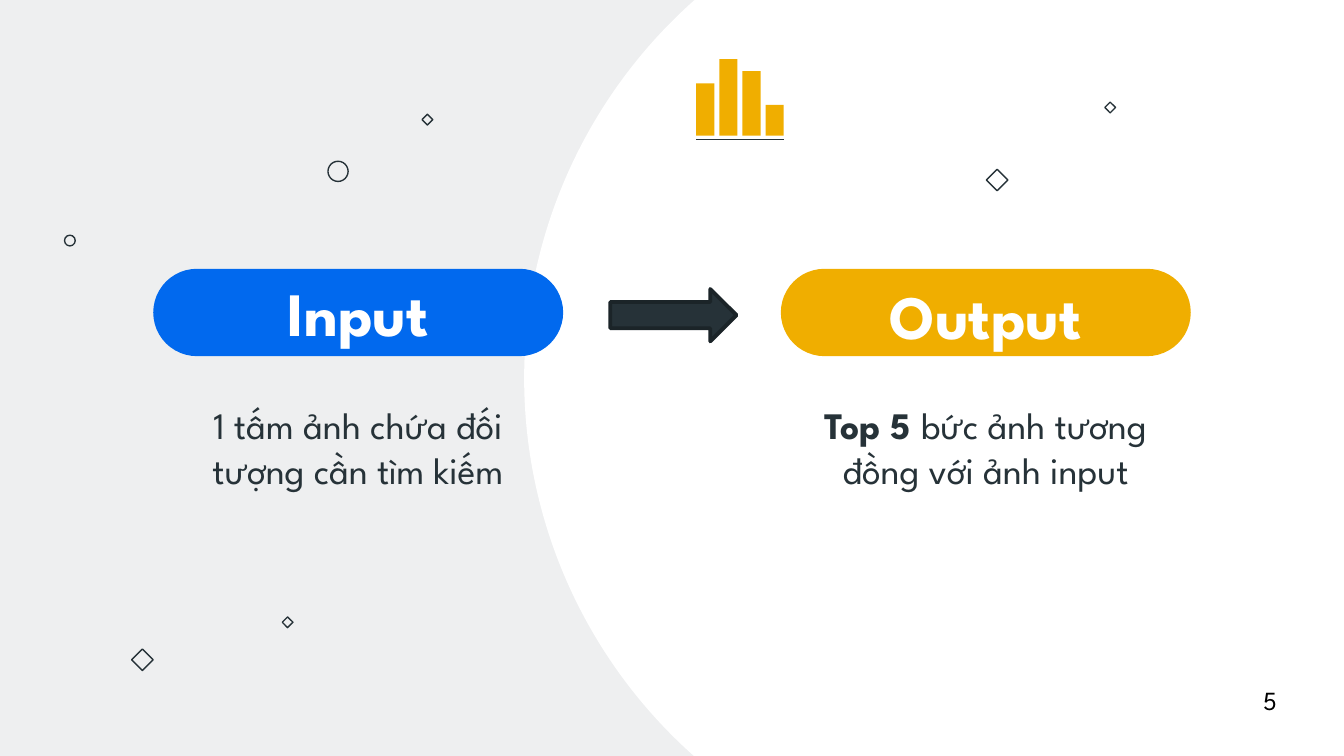
from dataclasses import dataclass

import pptx
import pptx.dml.color
import pptx.enum.shapes
import pptx.enum.text
import pptx.oxml.ns
import pptx.util
from lxml import etree

SHAPE = pptx.enum.shapes.MSO_SHAPE
ANCHOR = pptx.enum.text.MSO_ANCHOR
ALIGN = pptx.enum.text.PP_ALIGN
CELL = pptx.util.Inches(0.1)
COLUMNS, ROWS = 100, 56.25
FONT = "League Spartan"
COLORS = {
    "backdrop": "EEEFF0",
    "white": "FFFFFF",
    "ink": "263238",
    "edge": "1B2428",
    "input": "0169EE",
    "output": "F0AE00",
    "number": "000000",
}


@dataclass(frozen=True)
class Area:
    column: float
    row: float
    columns: float
    rows: float

    def emu(self) -> list[int]:
        return [round(value * CELL) for value in (self.column, self.row, self.columns, self.rows)]


@dataclass(frozen=True)
class Ornament:
    kind: int
    column: float
    row: float
    size: float


@dataclass(frozen=True)
class Run:
    text: str
    size: float
    color: str
    bold: bool = False


@dataclass(frozen=True)
class Stage:
    column: float
    color: str
    title: str
    title_row: float
    title_rows: float
    description: tuple[Run, ...]


def rgb(name: str) -> pptx.dml.color.RGBColor:
    return pptx.dml.color.RGBColor.from_string(COLORS[name])


def apply(target, values: dict) -> None:
    for attribute, value in values.items():
        setattr(target, attribute, value)


def draw_shape(shapes, kind: int, area: Area, fill: str = "", line: str = "", weight: float = 0.75):
    shape = shapes.add_shape(kind, *area.emu())
    shape.shadow.inherit = False
    if fill:
        shape.fill.solid()
        shape.fill.fore_color.rgb = rgb(fill)
    else:
        shape.fill.background()
    if line:
        shape.line.color.rgb = rgb(line)
        shape.line.width = pptx.util.Pt(weight)
    else:
        shape.line.fill.background()
    return shape


def draw_text(shapes, area: Area, runs: tuple[Run, ...], **overrides) -> None:
    frame = shapes.add_textbox(*area.emu()).text_frame
    margins = {f"margin_{side}": CELL for side in ("left", "top", "right", "bottom")}
    apply(frame, {"word_wrap": True, "vertical_anchor": ANCHOR.MIDDLE, **margins, **overrides})
    paragraph = frame.paragraphs[0]
    paragraph.alignment = ALIGN.CENTER
    for part in runs:
        run = paragraph.add_run()
        run.text = part.text
        apply(run.font, {"name": FONT, "size": pptx.util.Pt(part.size), "bold": part.bold})
        run.font.color.rgb = rgb(part.color)


def draw_stage(shapes, stage: Stage) -> None:
    pill = draw_shape(shapes, SHAPE.ROUNDED_RECTANGLE, Area(stage.column, 20, 30.5, 6.5), stage.color)
    pill.adjustments[0] = 0.5
    title_area = Area(stage.column + 2.2, stage.title_row, 26.1, stage.title_rows)
    draw_text(shapes, title_area, (Run(stage.title, 33, "white", True),))
    draw_text(shapes, Area(stage.column, 28.9, 30.5, 8.7), stage.description)


def draw_bars(shapes, column: float, base: float, heights: tuple[float, ...]) -> None:
    icon = shapes.add_group_shape().shapes
    step, width = 1.72, 1.35
    for index, height in enumerate(heights):
        area = Area(column + index * step, base - height, width, height)
        draw_shape(icon, SHAPE.RECTANGLE, area, "output")
    end = column + (len(heights) - 1) * step + width
    ends = [round(value * CELL) for value in (column, base + 0.3, end, base + 0.3)]
    axis = icon.add_connector(pptx.enum.shapes.MSO_CONNECTOR.STRAIGHT, *ends)
    axis.line.color.rgb = rgb("ink")
    axis.line.width = pptx.util.Pt(0.75)
    etree.SubElement(axis._element.spPr, pptx.oxml.ns.qn("a:effectLst"))


ORNAMENTS = (
    Ornament(SHAPE.DIAMOND, 73.4, 12.6, 1.6),
    Ornament(SHAPE.OVAL, 24.4, 12, 1.5),
    Ornament(SHAPE.DIAMOND, 21, 45.9, 0.8),
    Ornament(SHAPE.DIAMOND, 82.2, 7.6, 0.8),
    Ornament(SHAPE.DIAMOND, 31.4, 8.5, 0.8),
    Ornament(SHAPE.DIAMOND, 9.8, 48.3, 1.6),
    Ornament(SHAPE.OVAL, 4.8, 17.5, 0.8),
)
STAGES = (
    Stage(11.4, "input", "Input", 19.8, 6.8, (Run("1 tấm ảnh chứa đối tượng cần tìm kiếm", 20, "ink"),)),
    Stage(58.1, "output", "Output", 20, 6.8, (
        Run("Top 5 ", 20, "ink", True),
        Run("bức ảnh tương đồng với ảnh input", 20, "ink"),
    )),
)


def main() -> None:
    deck = pptx.Presentation()
    apply(deck, {"slide_width": round(COLUMNS * CELL), "slide_height": round(ROWS * CELL)})
    slide = deck.slides.add_slide(deck.slide_layouts[6])
    slide.background.fill.solid()
    slide.background.fill.fore_color.rgb = rgb("backdrop")
    shapes = slide.shapes

    draw_shape(shapes, SHAPE.OVAL, Area(39, -9.5, 75.5, 75.3), "white")
    for ornament in ORNAMENTS:
        area = Area(ornament.column, ornament.row, ornament.size, ornament.size)
        draw_shape(shapes, ornament.kind, area, line="ink")
    for stage in STAGES:
        draw_stage(shapes, stage)
    draw_bars(shapes, 51.8, 10.1, (3.9, 5.7, 4.8, 2.3))
    draw_shape(shapes, SHAPE.RIGHT_ARROW, Area(45.4, 21.5, 9.4, 3.9), "ink", "edge", 2)
    draw_text(
        shapes, Area(93, 50.4, 5.6, 3.4), (Run("5", 14, "number"),),
        vertical_anchor=ANCHOR.TOP, margin_top=CELL // 2, margin_bottom=CELL // 2,
        auto_size=pptx.enum.text.MSO_AUTO_SIZE.SHAPE_TO_FIT_TEXT,
    )
    shapes[-1].text_frame.paragraphs[0].alignment = ALIGN.LEFT
    deck.save("out.pptx")


if __name__ == "__main__":
    main()
